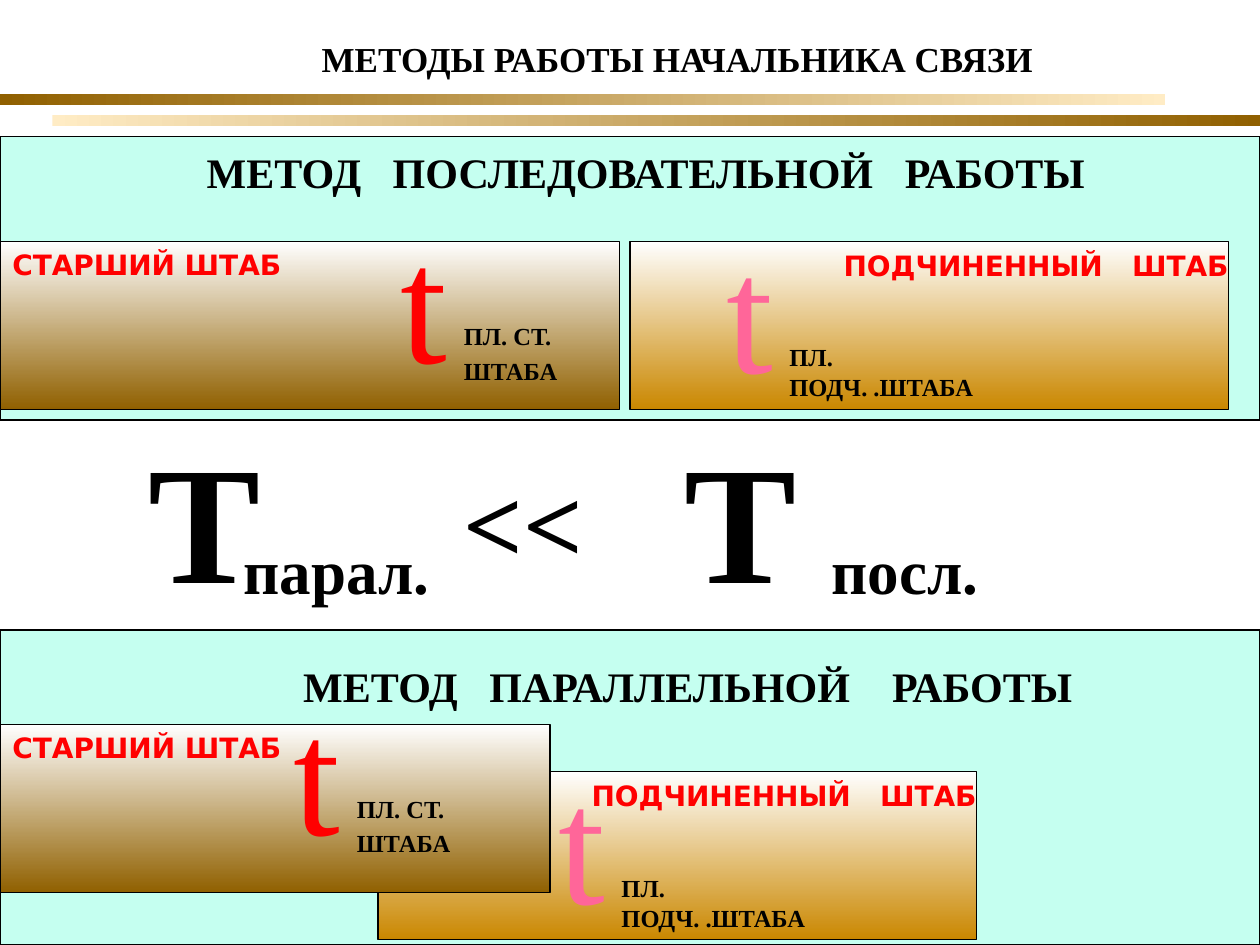
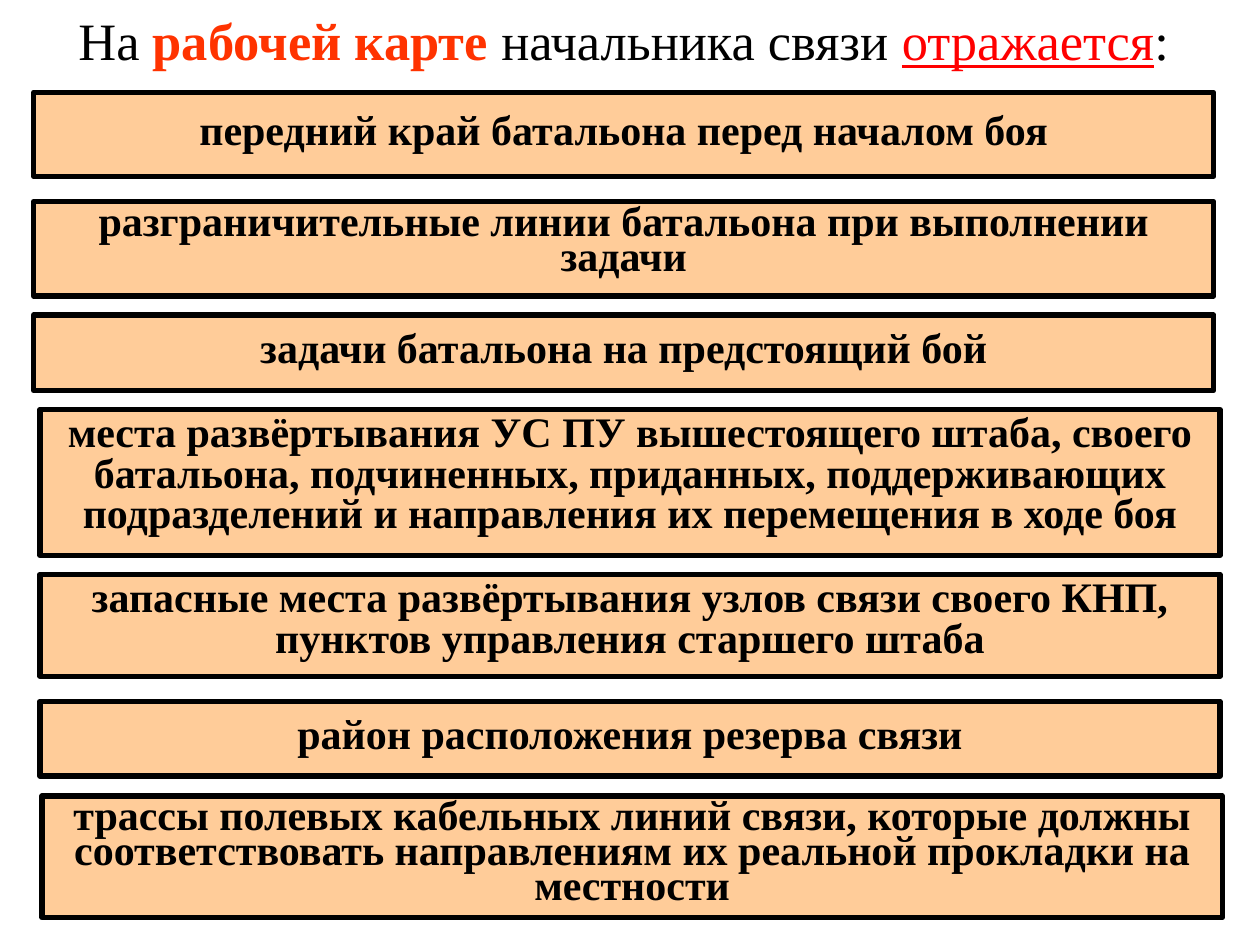
"""Two slides on the work methods and the working map of a signals chief."""
from pptx import Presentation, util as u
from pptx.dml.color import RGBColor
from pptx.enum import shapes, text

CELL = u.Inches(1 / 12)
COLS, ROWS = 120, 90
SERIF, SANS = "Times New Roman", "DejaVu Sans"
BLACK, RED, PINK, WHITE = "000000", "FF0000", "FF6699", "FFFFFF"
MINT, PEACH = "C5FFF0", "FFCC99"
BROWN, CREAM, GOLD = "906000", "FFECC5", "CA8700"
RECT = shapes.MSO_SHAPE.RECTANGLE
PILL = shapes.MSO_SHAPE.FLOWCHART_ALTERNATE_PROCESS
LEFT, MID, RIGHT = text.PP_ALIGN.LEFT, text.PP_ALIGN.CENTER, text.PP_ALIGN.RIGHT

TITLE = "МЕТОДЫ РАБОТЫ НАЧАЛЬНИКА СВЯЗИ"
BANDS = [((0, 9, 111, 1), (BROWN, CREAM)), ((5, 11, 115, 1), (CREAM, BROWN))]
STAFF = {
    "senior": dict(
        name="СТАРШИЙ ШТАБ", low=BROWN, tint=RED, pad=(0.1, 0.05), align=LEFT,
        lead=1, gap=0, drop=12, note=["ПЛ. СТ.", "ШТАБА"], wide=13.2),
    "junior": dict(
        name="ПОДЧИНЕННЫЙ ШТАБ", low=GOLD, tint=PINK, pad=(0, 0), align=RIGHT,
        lead=1.2, gap=11, drop=13, note=["ПЛ. ПОДЧ. .ШТАБА"], wide=20),
}
METHODS = [
    dict(area=(0, 13, COLS, 27), head="МЕТОД ПОСЛЕДОВАТЕЛЬНОЙ РАБОТЫ",
         spot=(7, 13), gaps=(12, 12),
         parts=[("senior", (0, 23, 59, 16), (37, 18)),
                ("junior", (60, 23, 57, 16), (68, 19))]),
    dict(area=(0, 60, COLS, 30), head="МЕТОД ПАРАЛЛЕЛЬНОЙ РАБОТЫ",
         spot=(11, 62), gaps=(12, 18),
         parts=[("junior", (36, 73.5, 57, 16), (52, 69.6)),
                ("senior", (0, 69, 52.4, 16), (26.8, 63))]),
]
FORMULA = [
    ("Т", (13, 39, 9, 20.4), 96), ("Т", (64, 39, 9, 20.4), 96),
    ("парал.", (22, 50, 23, 8.4), 36), ("<<", (43, 43, 28, 13.2), 60),
    ("посл.", (78, 50, 17, 8.4), 36),
]
MAP = [
    ("На ", {}), ("рабочей карте", dict(color="FF3300", bold=True)),
    (" начальника связи ", {}), ("отражается", dict(color=RED, underline=True)),
    (":", {}),
]
ITEMS = [
    ("передний край батальона перед началом боя", 3.2, 8.8, 8, 1.1),
    ("разграничительные линии батальона при выполнении задачи", 3.2, 19.2, 9, 0.7),
    ("задачи батальона на предстоящий бой", 3.2, 30, 7.2, 1),
    ("места развёртывания УС ПУ вышестоящего штаба, своего батальона, "
     "подчиненных, приданных, поддерживающих подразделений и направления "
     "их перемещения в ходе боя", 3.8, 39, 13.9, 0.8),
    ("запасные места развёртывания узлов связи своего КНП, пунктов управления "
     "старшего штаба", 3.8, 54.7, 9.7, 0.8),
    ("район расположения резерва связи", 3.8, 66.8, 7.1, 1),
    ("трассы полевых кабельных линий связи, которые должны соответствовать "
     "направлениям их реальной прокладки на местности", 4, 75.8, 11.6, 0.7),
]


def tone(code):
    return RGBColor.from_string(code)


def place(box):
    return [round(n * CELL) for n in box]


def shape(slide, box, fill=None, line=0, kind=RECT, turn=0):
    item = slide.shapes.add_shape(kind, *place(box))
    item.shadow.inherit = False
    if fill is None:
        item.fill.background()
    elif isinstance(fill, str):
        item.fill.solid()
        item.fill.fore_color.rgb = tone(fill)
    else:
        item.fill.gradient()
        item.fill.gradient_angle = turn
        for stop, code in zip(item.fill.gradient_stops, fill):
            stop.color.rgb = tone(code)
    if line:
        item.line.color.rgb = tone(BLACK)
        item.line.width = u.Pt(line)
    else:
        item.line.fill.background()
    return item


def style(run, size, color=BLACK, face=SERIF, **look):
    form = dict(size=u.Pt(size), name=face, **look)
    for key, val in form.items():
        setattr(run.font, key, val)
    run.font.color.rgb = tone(color)


def spread(words, gaps):
    """Split a line into runs, each space widened by its gap in points."""
    first, *rest = words.split(" ")
    yield first, 0
    for word, gap in zip(rest, gaps):
        yield " ", gap
        yield word, 0


def write(item, lines, size, align=LEFT, lead=1, pad=(0.1, 0.05), gaps=(), **look):
    frame = item.text_frame
    form = dict(word_wrap=True, vertical_anchor=text.MSO_ANCHOR.TOP,
                margin_left=u.Inches(pad[0]), margin_right=u.Inches(pad[0]),
                margin_top=u.Inches(pad[1]), margin_bottom=u.Inches(pad[1]))
    for key, val in form.items():
        setattr(frame, key, val)
    for i, line in enumerate(lines):
        para = frame.paragraphs[0] if i == 0 else frame.add_paragraph()
        para.alignment = align
        para.line_spacing = 0.6 if i else lead
        if i:
            para.space_before = u.Pt(8.8)
        for words, gap in spread(line, gaps) if gaps else [(line, 0)]:
            run = para.add_run()
            run.text = words
            style(run, size, **look)
            if gap:
                run.font._element.set("spc", str(gap * 100))


def label(slide, box, lines, size, **form):
    write(slide.shapes.add_textbox(*place(box)), lines, size, **form)


def staff(slide, kind, box, spot):
    """Draw one staff block with its time sign and index."""
    part = STAFF[kind]
    left, top = spot
    base = shape(slide, box, (WHITE, part["low"]), 0.75, turn=270)
    write(base, [part["name"]], 16, part["align"], part["lead"], part["pad"],
          gaps=(part["gap"],), color=RED, face=SANS, bold=True)
    label(slide, (left, top, 8, 20.4), ["t"], 96, color=part["tint"])
    label(slide, (left + 6, top + part["drop"], part["wide"], 7.2),
          part["note"], 14, bold=True)


def methods(slide):
    for box, fill in BANDS:
        shape(slide, box, fill)
    label(slide, (13, 3, 103, 5.3), [TITLE], 20, align=MID, bold=True)
    for way in METHODS:
        shape(slide, way["area"], MINT, 0.75)
        head = shape(slide, (*way["spot"], 109, 6.7), kind=PILL)
        write(head, [way["head"]], 24, MID, gaps=way["gaps"], bold=True)
        for part in way["parts"]:
            staff(slide, *part)
    for sign, box, size in FORMULA:
        label(slide, box, [sign], size, bold=True)


def chart_map(slide):
    wide = 112.4
    head = slide.shapes.add_textbox(*place((3.2, 0.2, wide, 7.3)))
    write(head, [""], 30, MID)
    para = head.text_frame.paragraphs[0]
    para.runs[0].text = MAP[0][0]
    for words, look in MAP[1:]:
        run = para.add_run()
        run.text = words
        style(run, 30, **look)
    for words, left, top, high, lead in ITEMS:
        item = shape(slide, (left, top, wide, high), PEACH, 3)
        write(item, [words], 24, MID, lead, bold=True)


def main():
    deck = Presentation()
    deck.slide_width, deck.slide_height = COLS * CELL, ROWS * CELL
    for draw in (methods, chart_map):
        draw(deck.slides.add_slide(deck.slide_layouts[6]))
    deck.save("out.pptx")


if __name__ == "__main__":
    main()
